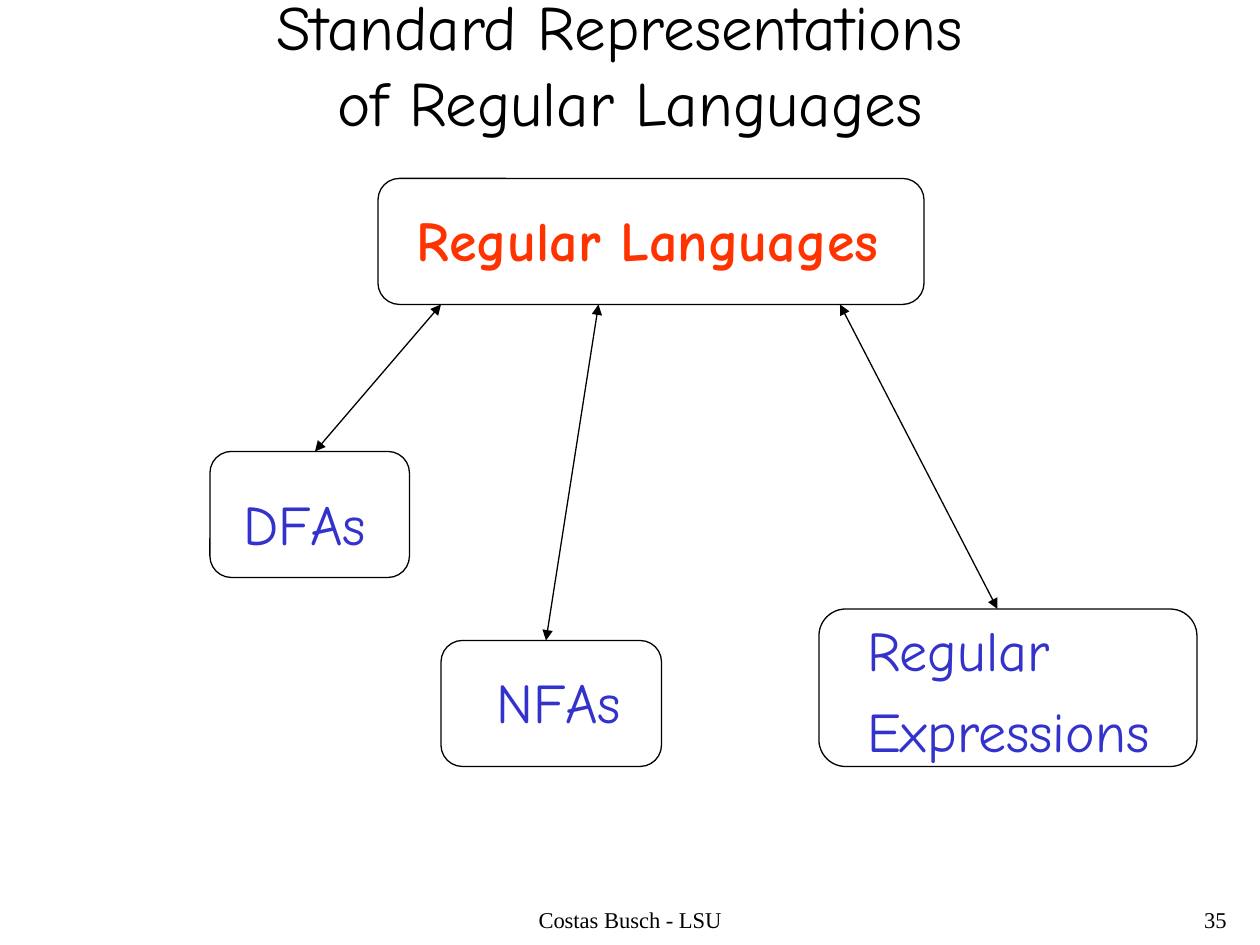
from pptx import Presentation
from pptx.dml.color import RGBColor
from pptx.enum.shapes import MSO_CONNECTOR as CONN, MSO_SHAPE as SHAPE
from pptx.enum.text import MSO_ANCHOR as ANCHOR, MSO_AUTO_SIZE as AUTO, PP_ALIGN as ALIGN
from pptx.oxml.ns import qn
from pptx.util import Pt
from lxml.etree import SubElement

PX = 7620
COLORS = {k: RGBColor.from_string(v) for k, v in
          {"black": "000000", "red": "FF3300", "blue": "3333CC"}.items()}
SANS, SERIF = "Comic Neue", "Times New Roman"


def add_text(box, lines, color, font, frame, para):
    tf = s.shapes.add_textbox(*[v * PX for v in box]).text_frame
    for name, value in frame.items():
        setattr(tf, name, value)
    for i, line in enumerate(lines):
        p = tf.add_paragraph() if i else tf.paragraphs[0]
        p.text = line
        for name, value in para.items():
            setattr(p, name, value)
        for r in p.runs:
            r.font.color.rgb = COLORS[color]
            for name, value in font.items():
                setattr(r.font, name, value)


prs = Presentation()
prs.slide_width, prs.slide_height = 1200 * PX, 900 * PX
s = prs.slides.add_slide(prs.slide_layouts[6])

for box, text, align in [
    ((410, 860, 380, 40), "Costas Busch - LSU", ALIGN.CENTER),
    ((930, 860, 250, 40), "35", ALIGN.RIGHT),
]:
    add_text(box, [text], "black", {"name": SERIF, "size": Pt(12.9)},
             {"word_wrap": True}, {"alignment": align, "line_spacing": 0.9})

add_text((20, 20, 1160, 80), ["Standard Representations \vof Regular Languages"],
         "black", {"name": SANS, "size": Pt(36)},
         {"word_wrap": True, "vertical_anchor": ANCHOR.MIDDLE},
         {"alignment": ALIGN.CENTER})

for box, lines, color, bold in [
    ((385, 190, 464, 77), ["Regular Languages"], "red", True),
    ((220, 460, 142, 77), ["DFAs"], "blue", False),
    ((461, 630, 143, 77), ["NFAs"], "blue", False),
    ((814, 580, 294, 154), ["Regular", "Expressions"], "blue", False),
]:
    add_text(box, lines, color, {"name": SANS, "size": Pt(32), "bold": bold},
             {"word_wrap": False, "auto_size": AUTO.SHAPE_TO_FIT_TEXT},
             {"space_before": Pt(8)})

for box in [
    (360, 170, 520, 120),
    (200, 430, 190, 120),
    (420, 610, 210, 120),
    (780, 580, 360, 150),
]:
    sp = s.shapes.add_shape(SHAPE.ROUNDED_RECTANGLE, *[v * PX for v in box])
    sp.adjustments[0] = 0.17
    sp.shadow.inherit = False
    sp.fill.background()
    sp.line.color.rgb = COLORS["black"]
    sp.line.width = Pt(0.75)

for ends in [
    (420, 290, 300, 430),
    (570, 290, 520, 610),
    (800, 290, 950, 580),
]:
    arrow = s.shapes.add_connector(CONN.STRAIGHT, *[v * PX for v in ends])
    arrow.line.color.rgb = COLORS["black"]
    arrow.line.width = Pt(0.75)
    ln = arrow.line._get_or_add_ln()
    for tag in ("a:headEnd", "a:tailEnd"):
        SubElement(ln, qn(tag), type="triangle")
    SubElement(arrow._element.spPr, qn("a:effectLst"))

prs.save("out.pptx")
